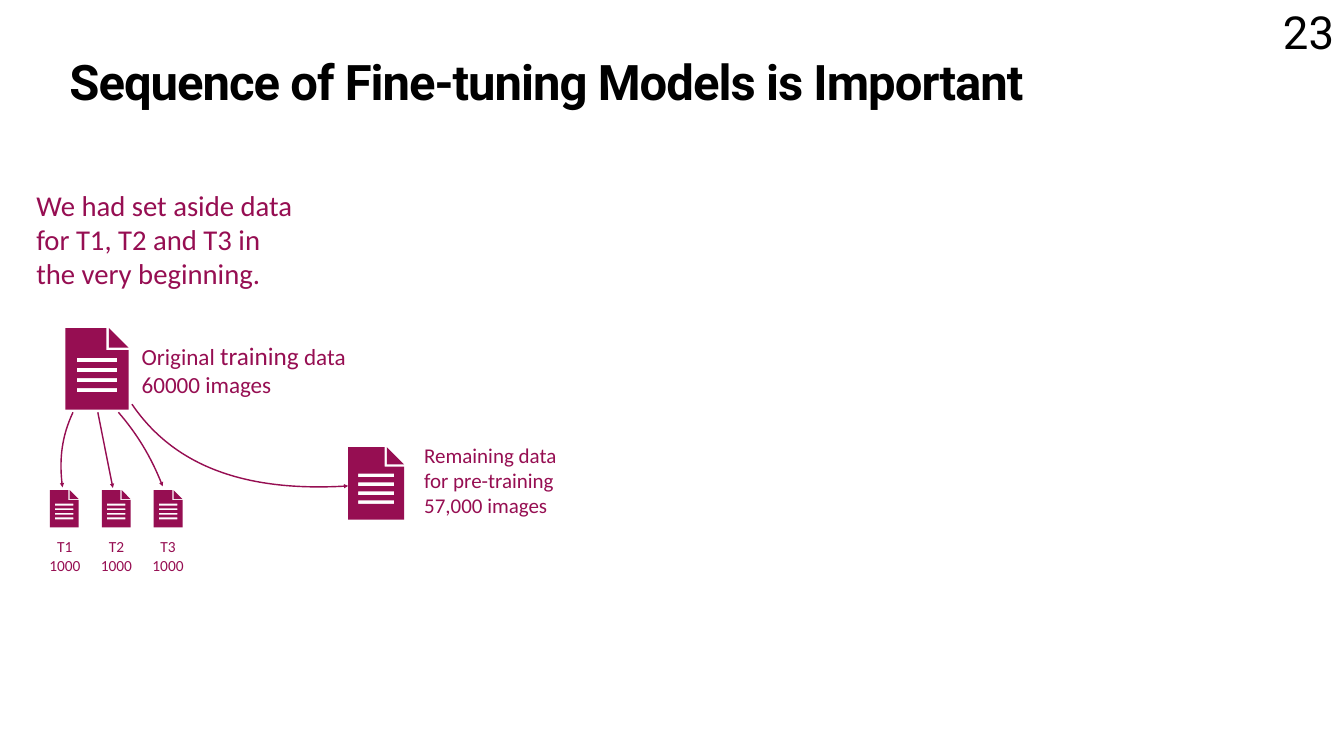
from pptx import Presentation
from pptx.dml.color import RGBColor
from pptx.enum import shapes, text
from pptx.oxml.ns import qn
from pptx.util import Cm, Pt
from lxml import etree

PLUM = "960E52"
BLACK = "000000"
LEFT, CENTER = text.PP_ALIGN.LEFT, text.PP_ALIGN.CENTER
TOP, MIDDLE, BOTTOM = (text.MSO_ANCHOR.TOP, text.MSO_ANCHOR.MIDDLE,
                       text.MSO_ANCHOR.BOTTOM)


def rgb(value):
    return RGBColor.from_string(value)


def set_attrs(obj, values):
    for name, value in values.items():
        setattr(obj, name, value)


def write(sp, lines, size, font="Calibri", color=PLUM, align=LEFT,
          anchor=MIDDLE, wrap=True, bold=False):
    """Each line is a string or a list of (text, size) runs."""
    tf = sp.text_frame
    set_attrs(tf, {"word_wrap": wrap, "vertical_anchor": anchor,
                   "auto_size": text.MSO_AUTO_SIZE.NONE,
                   "margin_left": Cm(0.15), "margin_right": Cm(0.15),
                   "margin_top": Cm(0.15), "margin_bottom": Cm(0.15)})
    for i, line in enumerate(lines):
        p = tf.add_paragraph() if i else tf.paragraphs[0]
        p.alignment = align
        for words, points in [(line, size)] if isinstance(line, str) else line:
            r = p.add_run()
            r.text = words
            set_attrs(r.font, {"name": font, "size": Pt(points), "bold": bold})
            r.font.color.rgb = rgb(color)
    return tf


def label(s, x, y, w, h, lines, size, **fmt):
    sp = s.shapes.add_textbox(Cm(x), Cm(y), Cm(w), Cm(h))
    write(sp, lines, size, **fmt)


def document_icon(s, x, y, w, h):
    """Page with a folded corner and four text lines cut out of it."""
    page = [(0, 0), (0, 1), (1, 1), (1, 0.27), (0.65, 0.27), (0.65, 0)]
    fold = [(0.69, 0), (0.69, 0.24), (1, 0.24)]
    tops = [0.365 + 0.123 * i for i in range(4)]
    rows = [[(0.18, t), (0.82, t), (0.82, t + 0.05), (0.18, t + 0.05)]
            for t in tops]
    builder = None
    for outline in [page, fold, *rows]:
        pts = [(Cm(x + w * px), Cm(y + h * py)) for px, py in outline]
        if builder is None:
            builder = s.shapes.build_freeform(*pts[0])
        else:
            builder.move_to(*pts[0])
        builder.add_line_segments(pts[1:], close=True)
    sp = builder.convert_to_shape()
    sp.shadow.inherit = False
    sp.fill.solid()
    sp.fill.fore_color.rgb = rgb(PLUM)
    sp.line.fill.background()


def arrow(s, x, y, points):
    """Straight for two points, a Bézier curve for four."""
    pts = [(Cm(x + px), Cm(y + py)) for px, py in points]
    if len(pts) == 2:
        sp = s.shapes.add_connector(shapes.MSO_CONNECTOR.STRAIGHT,
                                    *pts[0], *pts[1])
    else:
        builder = s.shapes.build_freeform(*pts[0])
        builder.add_line_segments(pts[1:], close=False)
        sp = builder.convert_to_shape()
        sp.fill.background()
        path = sp.element.find(".//" + qn("a:path"))
        curve = etree.SubElement(path, qn("a:cubicBezTo"))
        for segment in path.findall(qn("a:lnTo")):
            curve.append(segment[0])
            path.remove(segment)
    sp.line.color.rgb = rgb(PLUM)
    sp.line.width = Pt(2)
    sp_pr = sp.element.spPr
    etree.SubElement(sp_pr.find(qn("a:ln")), qn("a:tailEnd"), type="triangle")
    etree.SubElement(sp_pr, qn("a:effectLst"))


def header(s, x, y, w, h):
    # Title
    title = s.shapes.title
    set_attrs(title, {"left": Cm(x), "top": Cm(y),
                      "width": Cm(w), "height": Cm(h)})
    tf = write(title, ["Sequence of Fine-tuning Models is Important"], 70,
               font="Roboto", color=BLACK, anchor=TOP, bold=True)
    p = tf.paragraphs[0]
    p.line_spacing = 0.8
    p.runs[0].font._element.set("spc", "-140")
    # Page number
    label(s, x + 61.17, y - 2.85, 2.87, 2.97, ["23"], 65, font="Roboto",
          color=BLACK, align=CENTER, anchor=BOTTOM, wrap=False)


def intro(s, x, y, w, h):
    label(s, x, y, w, h, ["We had set aside data", "for T1, T2 and T3 in",
                          "the very beginning."], 41)


def data_split(s, x, y):
    # Full training set
    label(s, x + 4.99, y + 0.26, 16.18, 3.66,
          [[("Original ", 33), ("training", 36), (" data", 33)],
           "60000 images"], 33)
    document_icon(s, x + 1.3, y + 0.04, 3.18, 4.11)
    # Data set aside for each task
    for i, task in enumerate(["T1", "T2", "T3"]):
        label(s, x + 0.18 + 2.6 * i, y + 10.32, 2.18, 2.39,
              [task, "1000"], 22, align=CENTER)
        document_icon(s, x + 0.51 + 2.62 * i, y + 8.2, 1.45, 1.88)
    # Remaining data
    label(s, x + 19.23, y + 5.34, 16.18, 4.72,
          ["Remaining data", "for pre-training", "57,000 images"], 30)
    document_icon(s, x + 15.55, y + 6.03, 2.82, 3.66)
    # Arrows from the full set to its parts
    for points in [
        [(1.68, 4.28), (1.12, 5.47), (0.97, 6.72), (1.15, 8.06)],
        [(2.93, 4.28), (3.69, 8.09)],
        [(3.97, 4.28), (4.93, 5.39), (5.67, 6.64), (6.2, 8.01)],
        [(4.65, 3.87), (6.74, 6.94), (10.34, 8.32), (15.55, 7.99)],
    ]:
        arrow(s, x, y, points)


def main():
    prs = Presentation()
    prs.slide_width, prs.slide_height = Cm(67.74), Cm(38.1)
    s = prs.slides.add_slide(prs.slide_layouts[5])
    s.background.fill.solid()
    s.background.fill.fore_color.rgb = rgb("FFFFFF")
    header(s, 3.35, 3, 61.04, 3.99)
    intro(s, 1.68, 8.89, 18.52, 6.32)
    data_split(s, 2, 16.5)
    prs.save("out.pptx")


if __name__ == "__main__":
    main()
